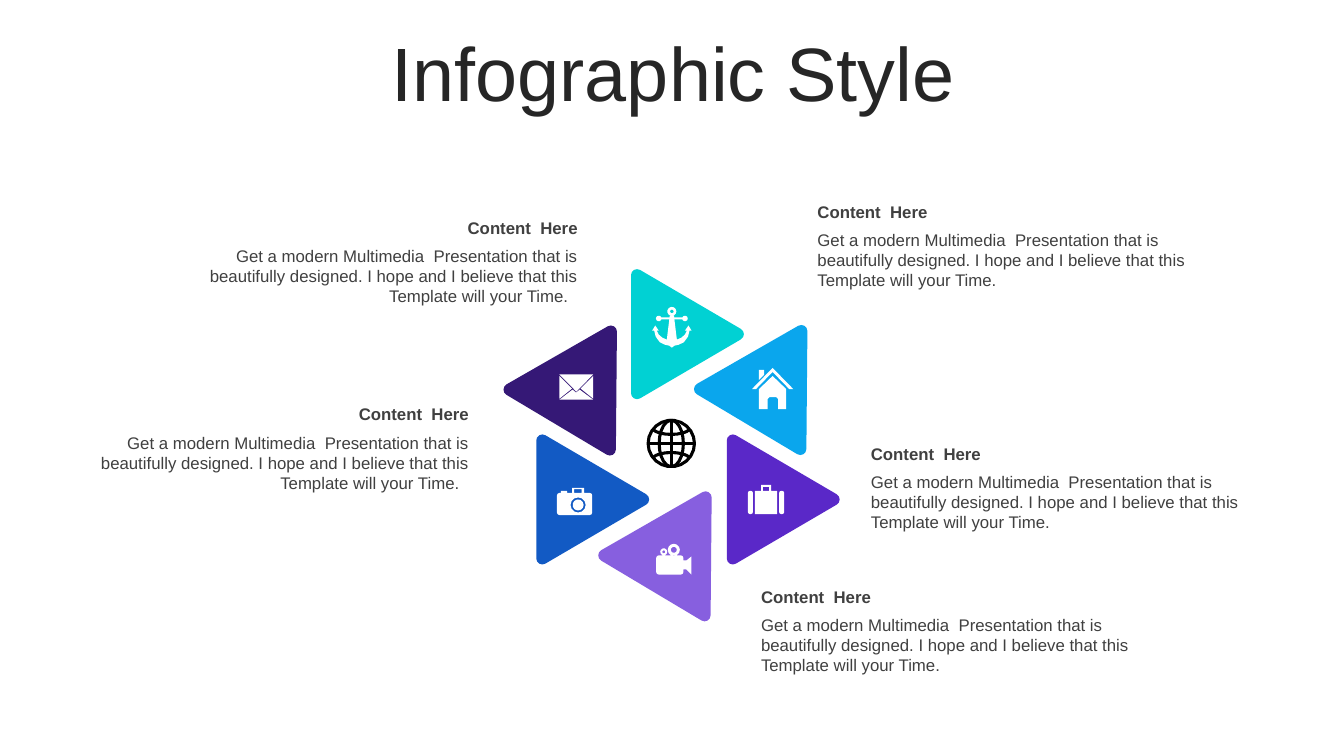
import math
from dataclasses import dataclass

import pptx
import pptx.dml.color
import pptx.enum.text
import pptx.util

Contour = list[tuple[float, float]]
Align = pptx.enum.text.PP_ALIGN
Anchor = pptx.enum.text.MSO_ANCHOR
COLS, ROWS = 133.33, 75
CELL = pptx.util.Inches(0.1)


@dataclass(frozen=True)
class Theme:
    font: str = "Arial"
    title_size: int = 54
    text_size: int = 12
    title: str = "262626"
    text: str = "404040"
    icon: str = "FFFFFF"
    globe: str = "000000"
    globe_line: float = 2.2
    teal: str = "01D1D3"
    sky: str = "0AA6ED"
    violet: str = "5A28C8"
    lilac: str = "875FDF"
    blue: str = "125AC4"
    indigo: str = "351876"


@dataclass(frozen=True)
class Blade:
    col: float
    row: float
    facing: int
    color: str


@dataclass(frozen=True)
class Icon:
    col: float
    row: float
    contours: list[Contour]


@dataclass(frozen=True)
class Card:
    col: float
    row: float
    width: float
    align: Align
    ending: str = ""


THEME = Theme()


def cells(n: float) -> int:
    return round(n * CELL)


def rgb(value: str) -> pptx.dml.color.RGBColor:
    return pptx.dml.color.RGBColor.from_string(value)


def apply(target: object, formats: dict) -> None:
    for name, value in formats.items():
        setattr(target, name, value)


def arc(x: float, y: float, rx: float, ry: float, start: int = 0, stop: int = 360) -> Contour:
    steps = max(2, round((stop - start) / 360 * (8 + 6 * max(rx, ry))))
    angles = [math.radians(start + (stop - start) * i / steps) for i in range(steps + 1)]
    return [(x + rx * math.cos(a), y + ry * math.sin(a)) for a in angles]


def disc(x: float, y: float, r: float) -> Contour:
    return arc(x, y, r, r)


def box(x: float, y: float, w: float, h: float) -> Contour:
    return [(x, y), (x + w, y), (x + w, y + h), (x, y + h)]


def rounded(x: float, y: float, w: float, h: float, r: float) -> Contour:
    corners = box(x + r, y + r, w - 2 * r, h - 2 * r)
    return [p for i, (cx, cy) in enumerate(corners)
            for p in arc(cx, cy, r, r, 180 + 90 * i, 270 + 90 * i)]


def mirrored(half: Contour) -> Contour:
    return half + [(-x, y) for x, y in reversed(half)]


def draw_outline(slide, col: float, row: float, contours: list[Contour], color: str,
                 stroke: float = 0):
    paths = [[(cells(col + x), cells(row + y)) for x, y in c] for c in contours]
    builder = slide.shapes.build_freeform(*paths[0][0])
    for i, points in enumerate(paths):
        if i:
            builder.move_to(*points[0])
        builder.add_line_segments(points[1:], close=not stroke)
    sp = builder.convert_to_shape()
    sp.shadow.inherit = False
    if stroke:
        sp.fill.background()
        sp.line.color.rgb = rgb(color)
        sp.line.width = pptx.util.Pt(stroke)
    else:
        sp.fill.solid()
        sp.fill.fore_color.rgb = rgb(color)
        sp.line.fill.background()
    return sp


def draw_blade(slide, blade: Blade) -> None:
    r = 0.6
    corners = [(-5, -5.85, 180, 300), (5, 0, -60, 60), (-5, 5.85, 60, 180)]
    outline = [(x * blade.facing, y) for cx, cy, start, stop in corners
               for x, y in arc(cx, cy, r, r, start, stop)]
    sp = draw_outline(slide, blade.col, blade.row, [outline], blade.color)
    sp.rotation = 0 if blade.facing > 0 else 0.5


def write(tf, text: str, size: int, color: str, bold: bool, paragraph: dict) -> None:
    p = tf.paragraphs[0]
    apply(p, paragraph)
    r = p.add_run()
    r.text = text
    apply(r.font, {"name": THEME.font, "size": pptx.util.Pt(size), "bold": bold})
    r.font.color.rgb = rgb(color)


def draw_card(slide, card: Card) -> None:
    body = ("Get a modern Multimedia  Presentation that is beautifully designed. "
            "I hope and I believe that this Template will your Time.")
    parts = [(0, 3, "Content  Here", True, Anchor.MIDDLE),
             (2.8, 7.1, body + card.ending, False, Anchor.TOP)]
    for drop, height, text, bold, anchor in parts:
        area = (card.col, card.row + drop, card.width, height)
        tf = slide.shapes.add_textbox(*map(cells, area)).text_frame
        apply(tf, {"word_wrap": True, "vertical_anchor": anchor, "margin_left": 0,
                   "margin_right": cells(1), "margin_top": cells(0.5),
                   "margin_bottom": cells(0.5)})
        write(tf, text, THEME.text_size, THEME.text, bold, {"alignment": card.align})


def draw_title(slide, text: str) -> None:
    sp = slide.shapes.title
    apply(sp, {"left": cells(3.5), "top": cells(3.7), "width": cells(126.6),
               "height": cells(7.9)})
    apply(sp.text_frame, {"word_wrap": True, "vertical_anchor": Anchor.MIDDLE,
                          "auto_size": pptx.enum.text.MSO_AUTO_SIZE.NONE})
    write(sp.text_frame, text, THEME.title_size, THEME.title, False,
          {"alignment": Align.CENTER, "line_spacing": 0.9})


BLADES = [
    Blade(74.45, 38.65, -1, THEME.sky), Blade(68.2, 33.15, 1, THEME.teal),
    Blade(55.55, 38.7, -1, THEME.indigo), Blade(64.95, 55.15, -1, THEME.lilac),
    Blade(58.8, 49.55, 1, THEME.blue), Blade(77.7, 49.55, 1, THEME.violet),
]

ENVELOPE = [[(2, 1.5), (3.35, 2.5), (0, 2.5), (1.3, 1.5), (1.65, 1.8)],
            [(3.35, 0.15), (3.35, 2.4), (2.1, 1.4)], [(0, 0.15), (1.25, 1.4), (0, 2.4)],
            [(0, 0), (3.35, 0), (1.67, 1.7)]]
CAMERA = [rounded(0, 0.5, 3.5, 2.2, 0.25), disc(2.1, 1.7, 0.75), disc(2.1, 1.7, 0.55),
          box(1.5, 0, 1.2, 0.5), box(1.7, 0.12, 0.75, 0.38), box(0.4, 0.3, 0.6, 0.2)]
VIDEO = [rounded(0, 1.1, 2.7, 1.9, 0.25), disc(1.75, 0.55, 0.6), disc(1.75, 0.55, 0.3),
         disc(0.75, 0.75, 0.35), disc(0.75, 0.75, 0.15),
         [(2.7, 1.6), (3, 1.6), (3.5, 1.2), (3.5, 3), (3, 2.5), (2.7, 2.5)]]
SUITCASE = [rounded(0, 0.6, 0.5, 2.3, 0.2), box(0.7, 0.6, 2.2, 2.3),
            rounded(3.1, 0.6, 0.5, 2.3, 0.2), box(1.3, 0, 1, 0.6), box(1.5, 0.2, 0.6, 0.4)]
ANCHOR = [disc(0, 0.5, 0.45), disc(0, 0.5, 0.18), disc(-1.3, 1.2, 0.28), disc(1.3, 1.2, 0.28),
          mirrored([(0.22, 0.95), (0.22, 1.1), (1.05, 1.1), (1.05, 1.3), (0.25, 1.3),
                    (0.5, 3.3), (0.95, 3.1), (1.3, 2.8), (1.5, 2.4), (1.3, 2.4),
                    (1.65, 1.9), (1.95, 2.4), (1.75, 2.4), (1.6, 3), (1.2, 3.55),
                    (0.7, 3.8), (0.25, 3.9), (0, 4.1)])]
HOUSE = [[(2.05, 0.8), (3.4, 2.1), (3.4, 4.1), (2.6, 4.1), (2.6, 3.1), (2.4, 2.9),
          (1.75, 2.9), (1.55, 3.1), (1.55, 4.1), (0.7, 4.1), (0.7, 2.1)],
         [(2.05, 0), (4.1, 2.1), (3.7, 2.1), (2.05, 0.4), (0.4, 2.1), (0, 2.1)],
         [(0.7, 0.2), (1.2, 0.2), (1.2, 0.7), (0.7, 1.2)]]
GLOBE = [disc(0, 0, 2.3), arc(0, 0, 1.2, 2.3), [(0, -2.3), (0, 2.3)], [(-2.3, 0), (2.3, 0)],
         arc(0, -1.6, 1.9, 0.7, 20, 160), arc(0, 1.6, 1.9, 0.7, 200, 340)]

ICONS = [Icon(55.5, 37.15, ENVELOPE), Icon(55.25, 48.4, CAMERA), Icon(65.1, 54, VIDEO),
         Icon(74.2, 48.1, SUITCASE), Icon(66.65, 30.4, ANCHOR), Icon(74.6, 36.5, HOUSE)]

CARDS = [Card(81.1, 19.5, 37.7, Align.LEFT), Card(86.4, 43.5, 37.7, Align.LEFT),
         Card(20.1, 21.1, 38.2, Align.RIGHT, "  "), Card(9.3, 39.6, 38.2, Align.RIGHT, "  "),
         Card(75.5, 57.7, 37.7, Align.LEFT)]


def main() -> None:
    prs = pptx.Presentation()
    apply(prs, {"slide_width": cells(COLS), "slide_height": cells(ROWS)})
    slide = prs.slides.add_slide(prs.slide_layouts[5])
    draw_title(slide, "Infographic Style")
    for blade in BLADES:
        draw_blade(slide, blade)
    for icon in ICONS:
        draw_outline(slide, icon.col, icon.row, icon.contours, THEME.icon)
    draw_outline(slide, 66.6, 44, GLOBE, THEME.globe, THEME.globe_line)
    for card in CARDS:
        draw_card(slide, card)
    prs.save("out.pptx")


if __name__ == "__main__":
    main()
